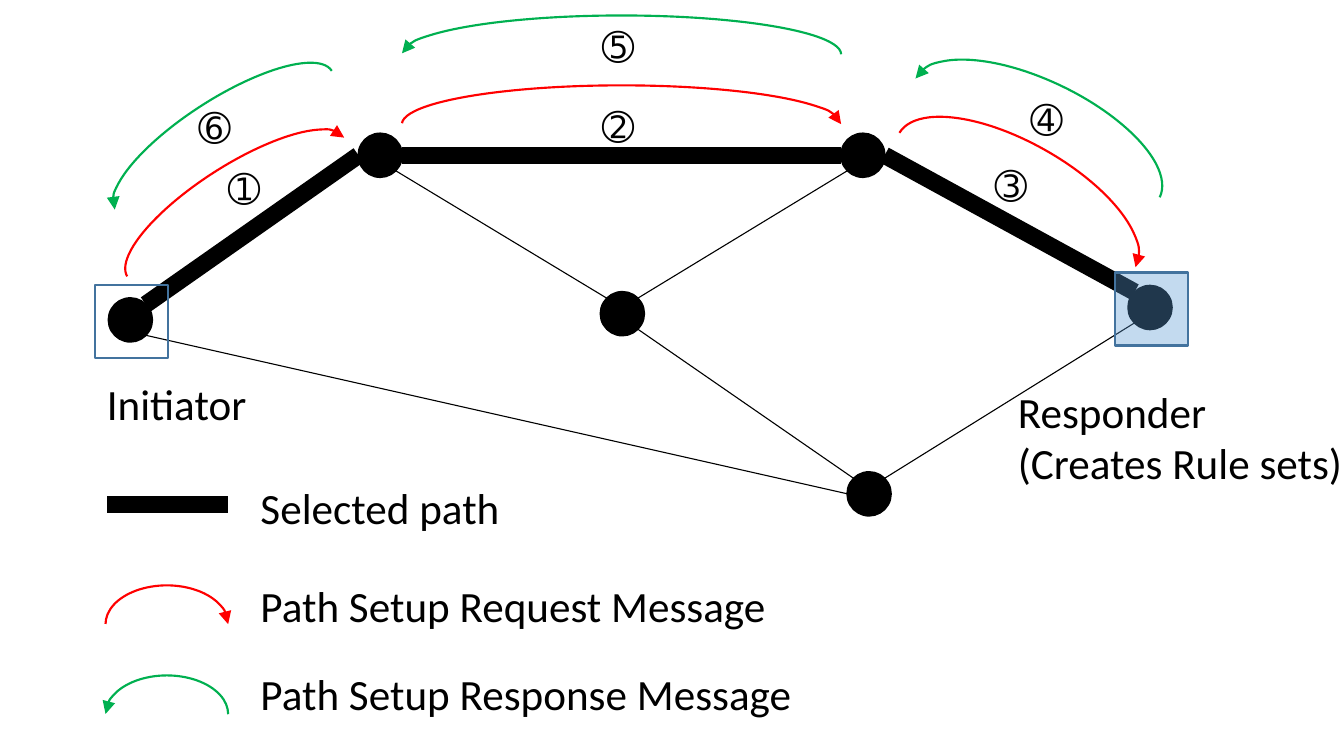
from typing import NamedTuple, Optional

from lxml.etree import SubElement
from pptx import Presentation
from pptx.dml.color import RGBColor
from pptx.enum.shapes import MSO_CONNECTOR, MSO_SHAPE as Preset
from pptx.enum.text import MSO_AUTO_SIZE as AutoSize
from pptx.oxml.ns import qn
from pptx.util import Inches, Length, Pt

# Grid: square cells, ten to the inch
COLUMNS, ROWS = 86.6, 47.2
FONT = "Calibri"
BLACK = RGBColor(0x00, 0x00, 0x00)
REQUEST = RGBColor(0xFF, 0x00, 0x00)
RESPONSE = RGBColor(0x00, 0xB0, 0x50)
FRAME = RGBColor(0x43, 0x73, 0x9E)
HIGHLIGHT = RGBColor(0x5B, 0x9B, 0xD5)
SELECTED_PT, PLAIN_PT = 8, 0.5
NODE_RADIUS = 1.4
DIAGONAL = 0.71
FRAME_SIZE = 4.7
ARC_START = 108.15


class Node(NamedTuple):
    col: float
    row: float


class Link(NamedTuple):
    start: Node
    start_side: str
    end: Node
    end_side: str
    weight: float = PLAIN_PT


class Message(NamedTuple):
    col: float
    row: float
    width: float
    height: float
    color: RGBColor
    rotation: float = 0


class Label(NamedTuple):
    text: str
    col: float
    row: float
    width: float
    height: float = 4.4
    size: float = 20


def cells(count: float) -> Length:
    return Inches(count / 10)


prs = Presentation()
prs.slide_width, prs.slide_height = cells(COLUMNS), cells(ROWS)
slide = prs.slides.add_slide(prs.slide_layouts[6])


def add_preset(preset, col: float, row: float, width: float, height: float,
               line: RGBColor, fill: Optional[RGBColor] = None):
    shape = slide.shapes.add_shape(
        preset, cells(col), cells(row), cells(width), cells(height))
    shape.shadow.inherit = False
    shape.line.color.rgb = line
    shape.line.width = Pt(1)
    if fill is None:
        shape.fill.background()
    else:
        shape.fill.solid()
        shape.fill.fore_color.rgb = fill
    return shape


def add_node(node: Node) -> None:
    add_preset(Preset.OVAL, node.col - NODE_RADIUS, node.row - NODE_RADIUS,
               2 * NODE_RADIUS, 2 * NODE_RADIUS, BLACK, BLACK)


def add_frame(node: Node, fill: Optional[RGBColor] = None):
    return add_preset(Preset.RECTANGLE, node.col + 0.1 - FRAME_SIZE / 2,
                      node.row + 0.1 - FRAME_SIZE / 2,
                      FRAME_SIZE, FRAME_SIZE, FRAME, fill)


def rim(node: Node, side: str) -> tuple[float, float]:
    """Point on the node's edge at a compass side such as E or SW."""
    reach = NODE_RADIUS * (DIAGONAL if len(side) == 2 else 1)
    east = ("E" in side) - ("W" in side)
    south = ("S" in side) - ("N" in side)
    return node.col + reach * east, node.row + reach * south


def add_line(start: tuple[float, float], end: tuple[float, float],
             weight: float) -> None:
    line = slide.shapes.add_connector(
        MSO_CONNECTOR.STRAIGHT, *map(cells, (*start, *end)))
    line.line.color.rgb = BLACK
    line.line.width = Pt(weight)
    SubElement(line._element.spPr, qn("a:effectLst"))


def add_message(message: Message) -> None:
    arc = add_preset(Preset.ARC, message.col, message.row, message.width,
                     message.height, message.color)
    arc.adjustments[0] = ARC_START
    arc.adjustments[1] = 0
    arc.rotation = message.rotation
    # Requests run forwards along the arc, responses backwards
    end = "a:tailEnd" if message.color == REQUEST else "a:headEnd"
    SubElement(arc.line._get_or_add_ln(), qn(end), type="triangle")


def add_text(text: str, *, col: float, row: float, width: float,
             height: float, size: float, color: RGBColor = BLACK) -> None:
    frame = slide.shapes.add_textbox(
        cells(col), cells(row), cells(width), cells(height)).text_frame
    frame.word_wrap = True
    frame.auto_size = AutoSize.SHAPE_TO_FIT_TEXT
    frame.text = text
    for paragraph in frame.paragraphs:
        font = paragraph.runs[0].font
        font.name, font.size, font.color.rgb = FONT, Pt(size), color


# Network nodes
initiator = Node(8.4, 20.6)
first_relay = Node(24.5, 10)
second_relay = Node(55.6, 10)
middle = Node(40.1, 20.2)
lower = Node(56, 31.8)
responder = Node(74.1, 19.8)
for node in (initiator, lower, first_relay, second_relay, middle, responder):
    add_node(node)

# Links, with the selected path drawn thick
for link in (
    Link(first_relay, "W", initiator, "NE", SELECTED_PT),
    Link(first_relay, "SE", middle, "NW"),
    Link(first_relay, "E", second_relay, "W", SELECTED_PT),
    Link(second_relay, "E", responder, "NW", SELECTED_PT),
    Link(lower, "NE", responder, "SW"),
    Link(middle, "SE", lower, "NW"),
    Link(initiator, "SE", lower, "W"),
    Link(middle, "NE", second_relay, "SW"),
):
    add_line(rim(link.start, link.start_side),
             rim(link.end, link.end_side), link.weight)

# Messages between neighbours
for message in (
    Message(6.9, 10.7, 16.6, 5.3, REQUEST, 327.3),
    Message(25.9, 5.5, 28.3, 5, REQUEST),
    Message(56.8, 9.2, 17.5, 7.4, REQUEST, 29.5),
    Message(58.1, 5.2, 17.5, 7.4, RESPONSE, 25.8),
    Message(25.9, 1, 28.3, 5, RESPONSE),
    Message(6.1, 6.4, 16.6, 5.3, RESPONSE, 327.3),
):
    add_message(message)

# End-point frames
add_frame(initiator)
tint = add_frame(responder, HIGHLIGHT).fill.fore_color
SubElement(tint._xFill.find(qn("a:srgbClr")), qn("a:alpha"), val="36000")

# Step numbers and end-point names
STEPS = (("➀", 13.7, 10.1), ("➁", 37.8, 6.1), ("➂", 63.1, 9.9),
         ("➃", 65.4, 5.7), ("➄", 37.8, 1), ("➅", 11.8, 6.2))
labels = [Label(mark, col, row, 2.5, 4, 18) for mark, col, row in STEPS]
labels += [Label("Responder\n(Creates Rule sets)", 64.6, 24.3, 25.2, 7.7),
           Label("Initiator", 5.9, 23.8, 16.6)]

# Legend
add_line((6.9, 32.5), (14.7, 32.5), SELECTED_PT)
add_message(Message(6.8, 37.7, 7.9, 5, REQUEST))
add_message(Message(6.8, 43.5, 7.9, 5, RESPONSE))
labels += [Label("Selected path", 15.8, 30.5, 25.2),
           Label("Path Setup Request Message", 15.8, 36.8, 39.7),
           Label("Path Setup Response Message", 15.8, 42.5, 39.7)]
for label in labels:
    add_text(**label._asdict())

prs.save("out.pptx")
